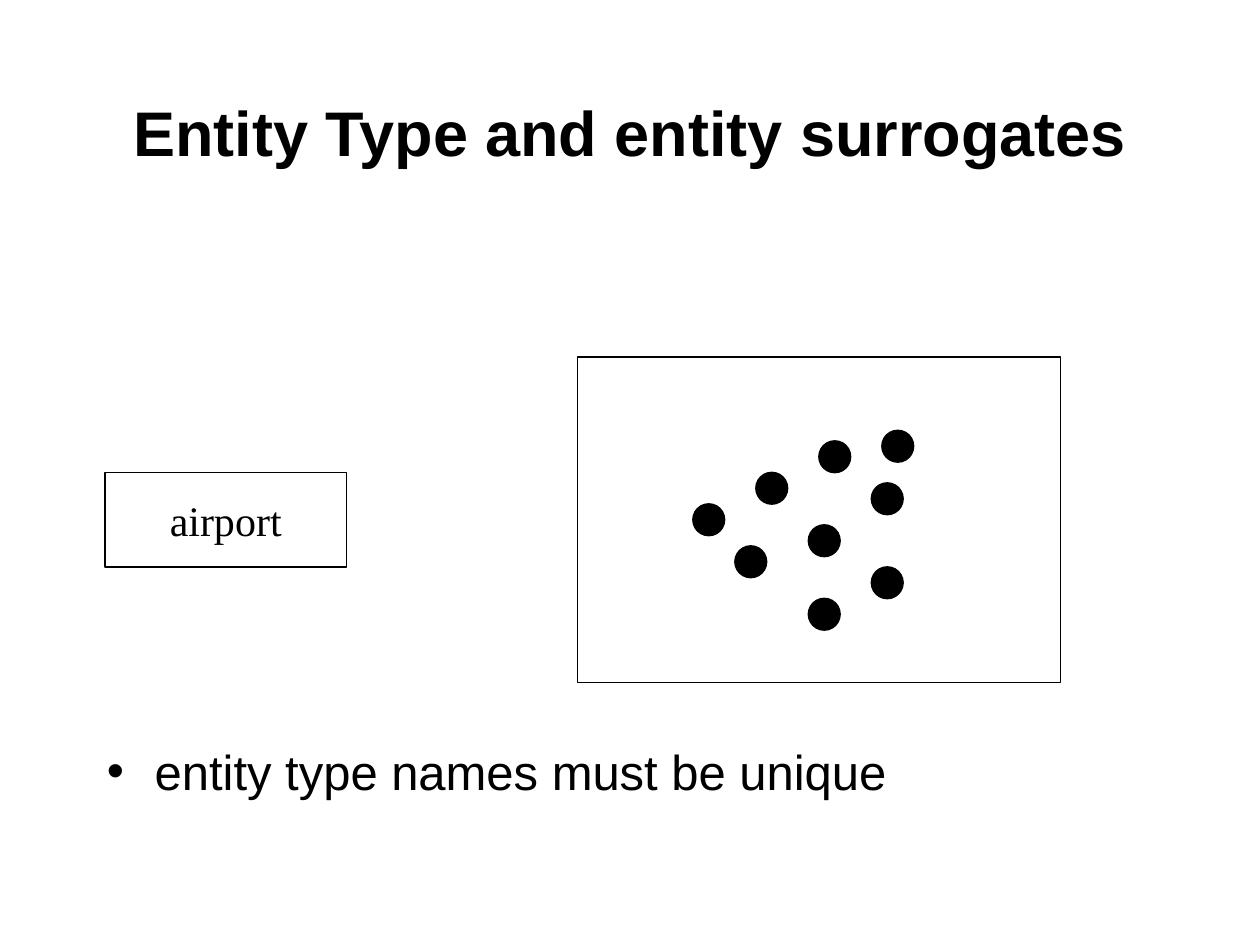
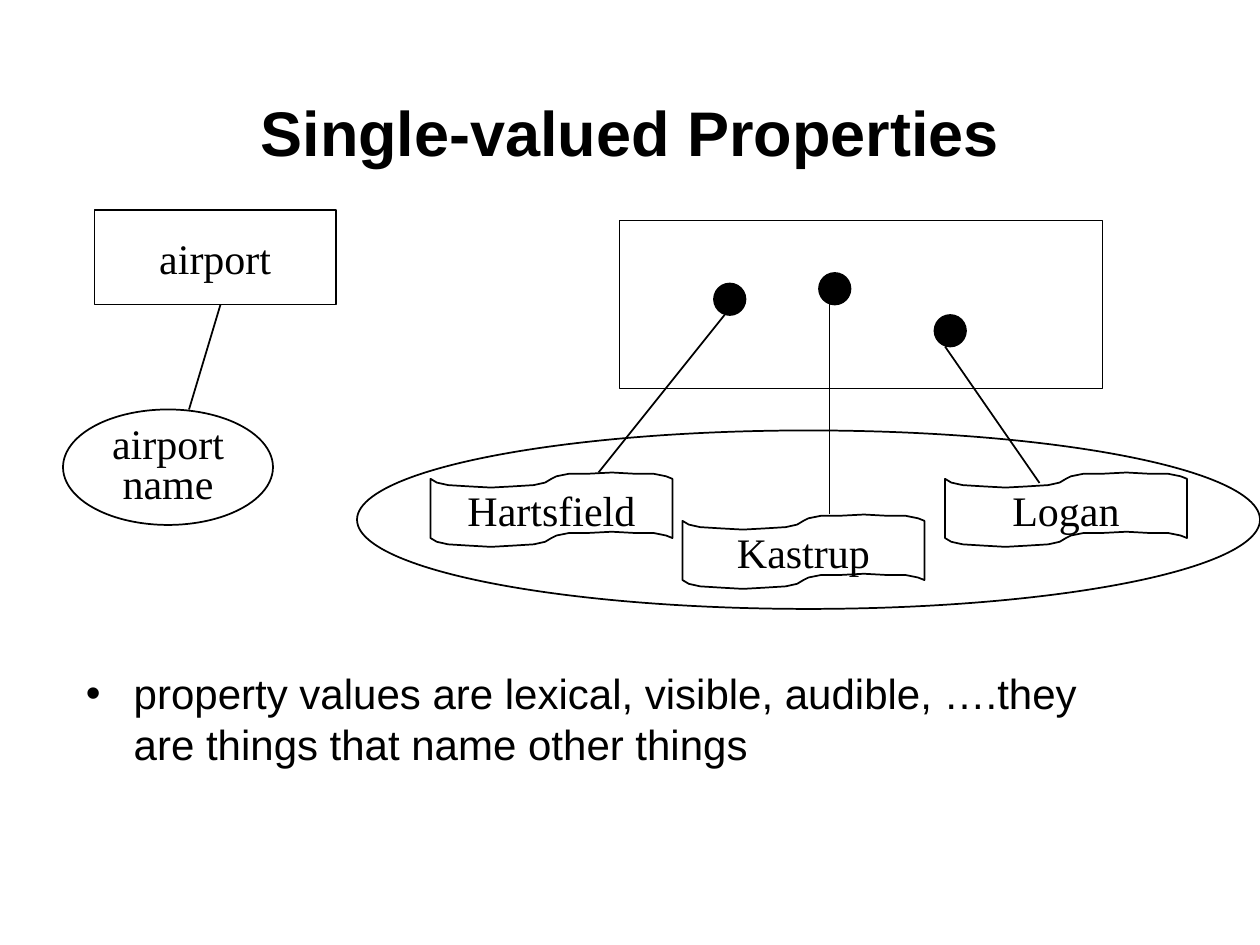
from dataclasses import dataclass

from lxml.etree import SubElement
from pptx import Presentation
from pptx.dml.color import RGBColor
from pptx.enum.shapes import MSO_CONNECTOR as Connector, MSO_SHAPE as Shape
from pptx.enum.text import MSO_ANCHOR as Anchor, PP_ALIGN as Align
from pptx.oxml.ns import qn
from pptx.util import Inches, Pt


@dataclass(frozen=True)
class Theme:
    """Colours, fonts and sizes shared by both slides."""
    ink: RGBColor = RGBColor(0, 0, 0)
    heading_font: str = "Arial"
    label_font: str = "Times New Roman"
    title_size: int = 36
    label_size: int = 24
    stroke: float = 1


THEME = Theme()
CELL = Inches(1) // 12
TITLE_AREA = (9, 5, 102, 15)
BOX_SIZE = (23, 9)
DOT_SIZE = (3, 3)
FLAG_SIZE = (23, 7)
FLAG_HEIGHT = 47
WAVE = [(0, 5), (5, 8), (14, 10), (30, 11), (48, 12), (66, 11), (82, 10),
        (91, 8), (96, 5), (100, 3), (110, 1), (125, 1), (144, 0),
        (162, 1), (177, 1), (187, 3), (192, 5)]


def cells(*counts):
    """Turn counts of grid cells into lengths."""
    return [round(count * CELL) for count in counts]


def style_text(frame, font, size, bold=False):
    """Give every run of a frame the same type."""
    for paragraph in frame.paragraphs:
        for run in paragraph.runs:
            run.font.name = font
            run.font.size = Pt(size)
            run.font.bold = bold
            run.font.color.rgb = THEME.ink


def add_title(slide, wording):
    """Place the centred bold title."""
    title = slide.shapes.add_textbox(*cells(*TITLE_AREA)).text_frame
    title.word_wrap = True
    title.vertical_anchor = Anchor.MIDDLE
    title.text = wording
    title.paragraphs[0].alignment = Align.CENTER
    style_text(title, THEME.heading_font, THEME.title_size, bold=True)


def add_bullet(slide, area, wording, size):
    """Place one bulleted statement with a hanging indent."""
    statement = slide.shapes.add_textbox(*cells(*area)).text_frame
    statement.word_wrap = True
    statement.text = wording
    properties = statement.paragraphs[0]._p.get_or_add_pPr()
    hang = Inches(0.38)
    properties.set("marL", str(hang))
    properties.set("indent", str(-hang))
    colour = SubElement(properties, qn("a:buClr"))
    SubElement(colour, qn("a:srgbClr"), val=str(THEME.ink))
    SubElement(properties, qn("a:buFont"), typeface=THEME.heading_font)
    SubElement(properties, qn("a:buChar"), char="•")
    style_text(statement, THEME.heading_font, size)


def outline(figure, filled=False):
    """Draw a figure with a thin line, hollow or solid."""
    figure.shadow.inherit = False
    figure.line.color.rgb = THEME.ink
    figure.line.width = Pt(THEME.stroke)
    if filled:
        figure.fill.solid()
        figure.fill.fore_color.rgb = THEME.ink
    else:
        figure.fill.background()
    return figure


def add_label(figure, wording, spacing=None):
    """Centre a label inside a figure."""
    label = figure.text_frame
    label.word_wrap = False
    label.vertical_anchor = Anchor.MIDDLE
    label.text = wording
    for paragraph in label.paragraphs:
        paragraph.alignment = Align.CENTER
        paragraph.line_spacing = spacing
    style_text(label, THEME.label_font, THEME.label_size)


def add_figure(slide, kind, area, filled=False):
    """Place a preset figure on the grid."""
    return outline(slide.shapes.add_shape(kind, *cells(*area)), filled)


def add_entity_type(slide, column, row):
    """Place the airport box."""
    add_label(add_figure(slide, Shape.RECTANGLE, (column, row, *BOX_SIZE)), "airport")


def add_population(slide, area, surrogates):
    """Place a box with a dot for each entity surrogate."""
    for corner in surrogates:
        add_figure(slide, Shape.OVAL, (*corner, *DOT_SIZE), filled=True)
    add_figure(slide, Shape.RECTANGLE, area)


def add_value_flag(slide, column, row, wording):
    """Place a waving flag that holds one property value."""
    lower_edge = [(x, y + FLAG_HEIGHT) for x, y in reversed(WAVE)]
    builder = slide.shapes.build_freeform(*WAVE[0], scale=Inches(1) / 100)
    builder.add_line_segments(WAVE[1:] + lower_edge)
    add_label(outline(builder.convert_to_shape(*cells(column, row))), wording)


def add_link(slide, start, end):
    """Join two grid points with a straight line."""
    link = slide.shapes.add_connector(Connector.STRAIGHT, *cells(*start, *end))
    link.line.color.rgb = THEME.ink
    link.line.width = Pt(THEME.stroke)
    SubElement(link._element.spPr, qn("a:effectLst"))


def build_surrogates(slide):
    """Show the entity type beside its surrogates."""
    add_title(slide, "Entity Type and entity surrogates")
    add_entity_type(slide, 10, 45)
    add_population(slide, (55, 34, 46, 31), [
        (72, 45), (83, 54), (70, 52), (78, 42), (84, 41),
        (83, 46), (77, 57), (66, 48), (77, 50)])
    add_bullet(slide, (9, 70, 102, 13), "entity type names must be unique", 28)


def build_properties(slide):
    """Show each surrogate linked to a single value."""
    add_title(slide, "Single-valued Properties")
    add_population(slide, (59, 21, 46, 16), [(78, 26), (89, 30), (68, 27)])
    add_figure(slide, Shape.OVAL, (34, 41, 86, 17))
    for column, row, airport, start, end in [
            (41, 45, "Hartsfield", (69, 30), (57, 45)),
            (65, 49, "Kastrup", (79, 29), (79, 49)),
            (90, 45, "Logan", (90, 33), (99, 46))]:
        add_value_flag(slide, column, row, airport)
        add_link(slide, start, end)
    add_entity_type(slide, 9, 20)
    property_name = add_figure(slide, Shape.OVAL, (6, 39, 20, 11))
    add_label(property_name, "airport\nname", spacing=0.8)
    add_link(slide, (21, 29), (18, 39))
    add_bullet(slide, (7, 63, 102, 18),
               "property values are lexical, visible, audible, ….they "
               "are things that name other things", 24)


def main():
    """Build and save the slides."""
    deck = Presentation()
    deck.slide_width, deck.slide_height = cells(120, 90)
    for build in (build_surrogates, build_properties):
        build(deck.slides.add_slide(deck.slide_layouts[6]))
    deck.save("out.pptx")


if __name__ == "__main__":
    main()
